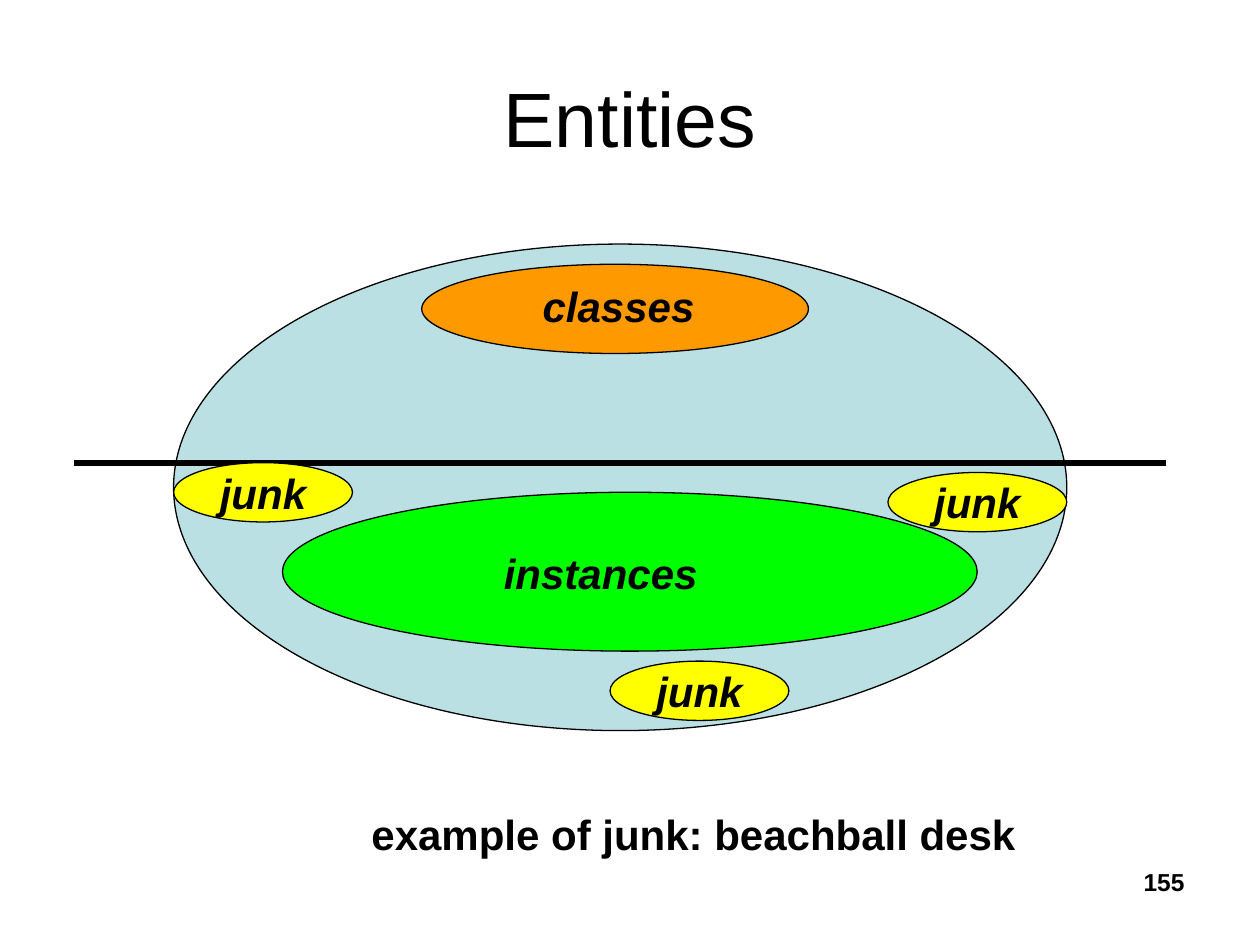
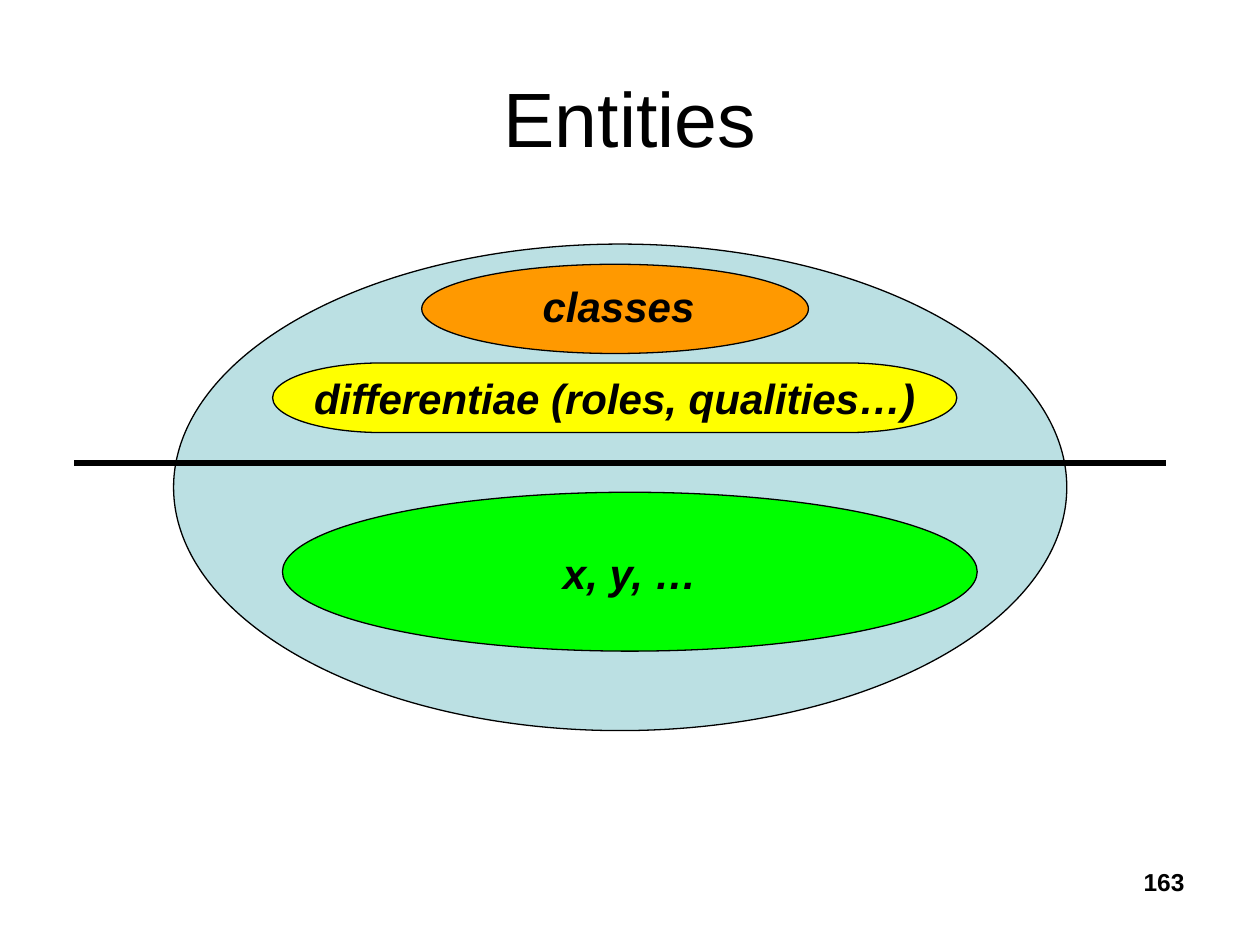
import dataclasses
import typing

import lxml.etree
import pptx
import pptx.dml.color
import pptx.enum.shapes
import pptx.enum.text
import pptx.oxml.ns
import pptx.presentation
import pptx.slide
import pptx.text.text
import pptx.util

Pt = pptx.util.Pt
SHAPE = pptx.enum.shapes.MSO_SHAPE
ALIGN = pptx.enum.text.PP_ALIGN
ANCHOR = pptx.enum.text.MSO_ANCHOR

BLACK, PALE_BLUE, ORANGE, GREEN, YELLOW = "000000", "BBE0E3", "FF9900", "00FF00", "FFFF00"

TITLE_FORMAT = {"size": Pt(44), "name": "Arial"}
CAPTION_FORMAT = {"size": Pt(24), "name": "Arial", "bold": True}
LABEL_FORMAT = {**CAPTION_FORMAT, "italic": True}
NUMBER_FORMAT = {"size": Pt(14), "name": "Arial", "bold": True}


@dataclasses.dataclass(frozen=True)
class Region:
    left: float
    top: float
    width: float
    height: float
    fill: str
    text: str = ""
    shape: SHAPE = SHAPE.OVAL


@dataclasses.dataclass(frozen=True)
class Label:
    left: float
    top: float
    width: float
    height: float
    text: str
    format: dict[str, typing.Any]
    align: ALIGN = ALIGN.LEFT
    anchor: ANCHOR = ANCHOR.TOP
    wrap: bool = True


@dataclasses.dataclass(frozen=True)
class EntityPage:
    number: str
    instances: Label
    regions: list[Region]
    captions: list[Label]


def junk(left: float, top: float) -> Region:
    return Region(left, top, 102.2, 33.9, YELLOW, "junk")


def instances_label(left: float, text: str) -> Label:
    return Label(left, 309.6, 147.6, 36, text, LABEL_FORMAT)


TITLE = Label(36, 21.6, 648, 90, "Entities", TITLE_FORMAT, ALIGN.CENTER, ANCHOR.MIDDLE)
ENTITIES = Region(99.2, 139.5, 510.4, 278, PALE_BLUE)
CLASSES = Region(241, 151, 221, 51, ORANGE)
CLASSES_LABEL = Label(303, 157, 102.2, 36, "classes", LABEL_FORMAT)
INSTANCES = Region(161.4, 281.3, 397, 90.8, GREEN)
DIVIDER = (666, 264.4, 42.5, 264.4)

PAGES = [
    EntityPage(
        "155",
        instances_label(280.8, "instances"),
        [junk(507.4, 270), junk(99.2, 264.4), junk(348.6, 377.8)],
        [Label(205.2, 458.6, 382.4, 36, "example of junk: beachball desk",
               CAPTION_FORMAT, wrap=False)],
    ),
    EntityPage(
        "163",
        instances_label(314.6, "x, y, …"),
        [Region(155.8, 207.4, 391, 39.8, YELLOW, "differentiae (roles, qualities…)",
                SHAPE.FLOWCHART_TERMINATOR)],
        [],
    ),
]


def color(value: str) -> pptx.dml.color.RGBColor:
    return pptx.dml.color.RGBColor.from_string(value)


def write(frame: pptx.text.text.TextFrame, text: str, format: dict[str, typing.Any],
          align: ALIGN, anchor: ANCHOR, wrap: bool) -> None:
    frame.word_wrap = wrap
    frame.vertical_anchor = anchor
    para = frame.paragraphs[0]
    para.alignment = align
    span = para.add_run()
    span.text = text
    for name, value in format.items():
        setattr(span.font, name, value)
    span.font.color.rgb = color(BLACK)


def draw_region(page: pptx.slide.Slide, region: Region) -> None:
    shape = page.shapes.add_shape(region.shape, Pt(region.left), Pt(region.top),
                                  Pt(region.width), Pt(region.height))
    shape.shadow.inherit = False
    shape.fill.solid()
    shape.fill.fore_color.rgb = color(region.fill)
    shape.line.color.rgb = color(BLACK)
    shape.line.width = Pt(0.75)
    if region.text:
        write(shape.text_frame, region.text, LABEL_FORMAT, ALIGN.CENTER, ANCHOR.MIDDLE, False)


def draw_label(page: pptx.slide.Slide, label: Label) -> None:
    box = page.shapes.add_textbox(Pt(label.left), Pt(label.top),
                                  Pt(label.width), Pt(label.height))
    write(box.text_frame, label.text, label.format, label.align, label.anchor, label.wrap)


def draw_divider(page: pptx.slide.Slide) -> None:
    line = page.shapes.add_connector(pptx.enum.shapes.MSO_CONNECTOR.STRAIGHT,
                                     *(Pt(value) for value in DIVIDER))
    line.line.color.rgb = color(BLACK)
    line.line.width = Pt(3.25)
    lxml.etree.SubElement(line._element.spPr, pptx.oxml.ns.qn("a:effectLst"))


def draw_page(deck: pptx.presentation.Presentation, content: EntityPage) -> None:
    page = deck.slides.add_slide(deck.slide_layouts[6])
    draw_label(page, TITLE)
    draw_region(page, ENTITIES)
    draw_divider(page)
    draw_region(page, CLASSES)
    draw_label(page, CLASSES_LABEL)
    draw_region(page, INSTANCES)
    draw_label(page, content.instances)
    for region in content.regions:
        draw_region(page, region)
    number = Label(516.2, 491.8, 167.8, 37.4, content.number, NUMBER_FORMAT, ALIGN.RIGHT)
    for label in [*content.captions, number]:
        draw_label(page, label)


def main() -> None:
    deck = pptx.Presentation()
    deck.slide_width, deck.slide_height = Pt(720), Pt(540)
    for content in PAGES:
        draw_page(deck, content)
    deck.save("out.pptx")


if __name__ == "__main__":
    main()
